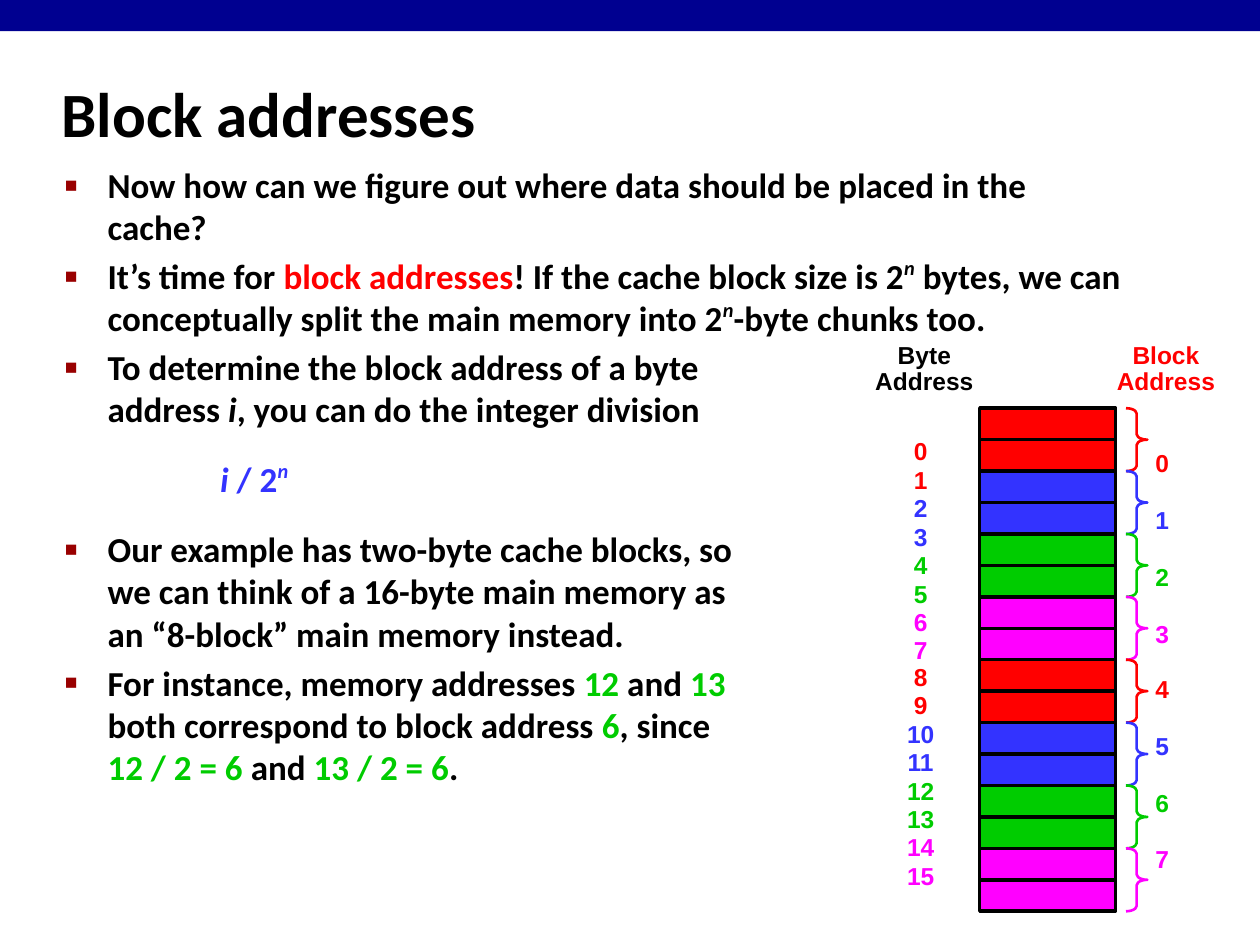
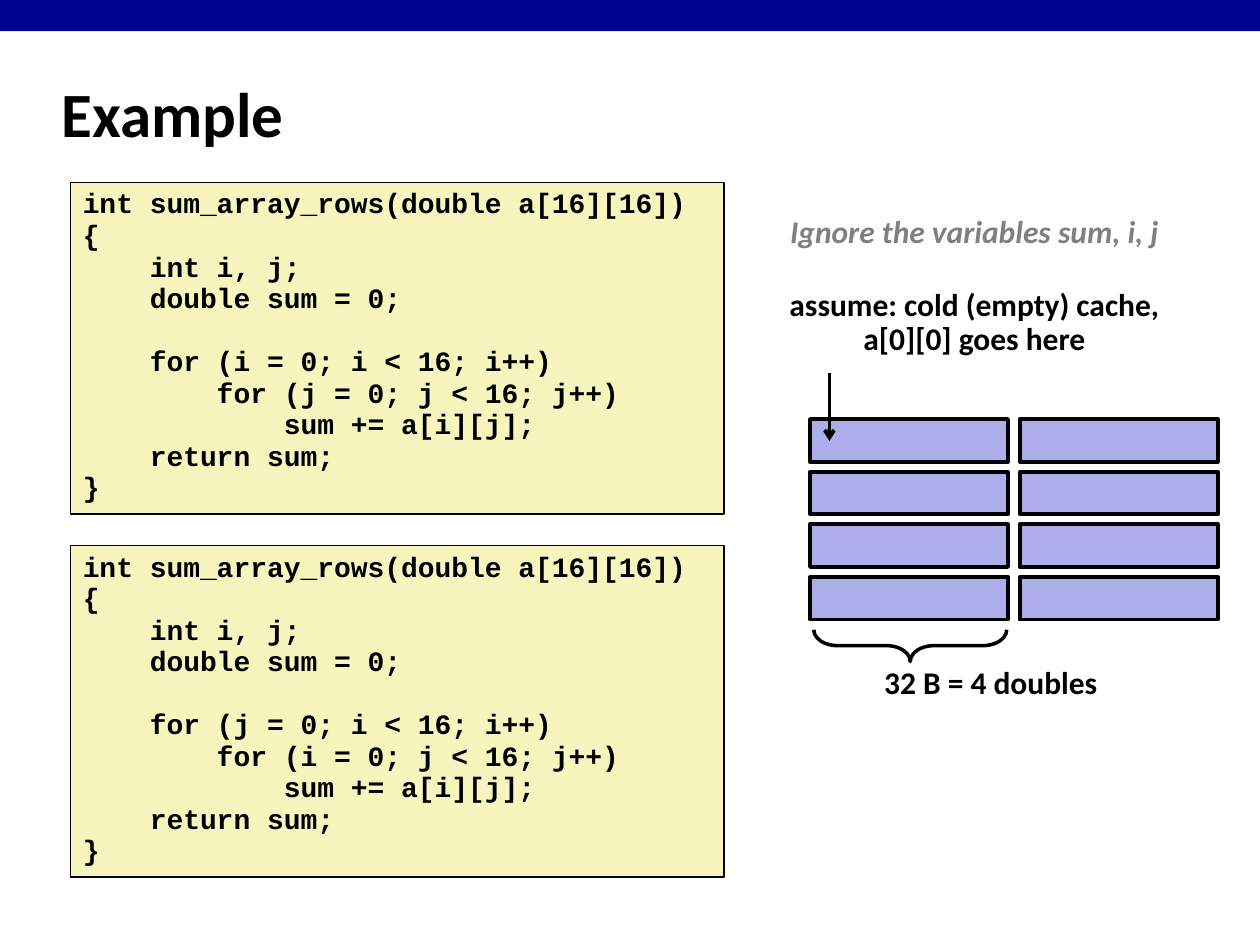
from dataclasses import dataclass

from lxml.etree import SubElement
from pptx import Presentation
from pptx.dml.color import RGBColor
from pptx.enum.shapes import MSO_CONNECTOR, MSO_SHAPE as Preset
from pptx.enum.text import MSO_ANCHOR as Anchor, PP_ALIGN as Align
from pptx.oxml.ns import qn
from pptx.util import Cm, Pt


@dataclass(frozen=True)
class Theme:
    band: str = "000090"
    ink: str = "000000"
    bullet: str = "990000"
    red: str = "FF0000"
    blue: str = "3333FF"
    green: str = "00CC00"
    magenta: str = "FF00FF"
    grey: str = "808080"
    code_fill: str = "F6F5BD"
    cell_fill: str = "ADADEB"
    sans: str = "Calibri"
    label: str = "Arial"
    mono: str = "Courier New"
    title_size: int = 36
    body_size: int = 20
    note_size: int = 18
    code_size: int = 16
    label_size: int = 14


THEME = Theme()

# Content: a span is (text, colour, style); style "i" is italic, "n" a raised italic
BODY = [
    ("bullet", [("Now how can we figure out where data should be placed in the cache?",)]),
    ("bullet", [("It’s time for ",), ("block addresses", THEME.red),
                ("! If the cache block size is 2",), ("n", None, "n"),
                (" bytes, we can conceptually split the main memory into 2",),
                ("n", None, "n"), ("-byte chunks too.",)]),
    ("bullet", [("To determine the block address of a byte\naddress ",), ("i", None, "i"),
                (", you can do the integer division",)]),
    ("formula", [("i", THEME.blue, "i"), (" / 2", THEME.blue), ("n", THEME.blue, "n")]),
    ("bullet", [("Our example has two-byte cache blocks, so\n"
                 "we can think of a 16-byte main memory as\n"
                 "an “8-block” main memory instead.",)]),
    ("bullet", [("For instance, memory addresses ",), ("12", THEME.green), (" and ",),
                ("13", THEME.green), ("\nboth correspond to block address ",),
                ("6", THEME.green), (", since\n",), ("12 / 2 = 6", THEME.green),
                (" and ",), ("13 / 2 = 6", THEME.green), (".",)]),
]

BLOCK_COLOURS = [THEME.red, THEME.blue, THEME.green, THEME.magenta]
BYTES, BLOCK_SIZE = 16, 2
BLOCKS = BYTES // BLOCK_SIZE

CODE = """int sum_array_rows(double a[16][16])
{{
    int i, j;
    double sum = 0;

    for ({outer} = 0; i < 16; i++)
        for ({inner} = 0; j < 16; j++)
            sum += a[i][j];
    return sum;
}}"""
LOOP_ORDERS = [("i", "j"), ("j", "i")]

# (left, top, width, height, lines, colour, italic), lengths in cm
NOTES = [
    (15.63, 4.24, 8.03, 1.02, ["Ignore the variables sum, i, j"], THEME.grey, True),
    (15.63, 5.7, 8.03, 1.8, ["assume: cold (empty) cache,", "a[0][0] goes here"],
     THEME.ink, False),
    (17.55, 13.32, 4.85, 1.02, ["32 B = 4 doubles"], THEME.ink, False),
]


# Shared helpers
def rgb(colour):
    return RGBColor.from_string(colour)


def set_font(font, name, size, colour=THEME.ink, italic=False):
    font.name, font.size, font.bold, font.italic = name, Pt(size), True, italic
    font.color.rgb = rgb(colour)


def add_preset(page, preset, left, top, width, height, fill=None, line=None, weight=1):
    shape = page.shapes.add_shape(preset, Cm(left), Cm(top), Cm(width), Cm(height))
    shape.shadow.inherit = False
    if fill:
        shape.fill.solid()
        shape.fill.fore_color.rgb = rgb(fill)
    else:
        shape.fill.background()
    if line:
        shape.line.color.rgb = rgb(line)
        shape.line.width = Pt(weight)
    else:
        shape.line.fill.background()
    return shape


def add_text_frame(page, left, top, width, height, wrap=True, anchor=Anchor.TOP):
    box = page.shapes.add_textbox(Cm(left), Cm(top), Cm(width), Cm(height))
    box.text_frame.word_wrap = wrap
    box.text_frame.vertical_anchor = anchor
    return box.text_frame


def next_paragraph(frame, index):
    return frame.add_paragraph() if index else frame.paragraphs[0]


def add_centred_lines(frame, lines, name, size, colours, gaps=None, italic=False):
    for index, (line, colour) in enumerate(zip(lines, colours)):
        para = next_paragraph(frame, index)
        para.alignment, para.line_spacing = Align.CENTER, 0.9
        if gaps and index:
            para.space_before = Pt(gaps[index])
        set_font(para.font, name, size, colour, italic)
        para.add_run().text = line


def add_page(deck, title):
    page = deck.slides.add_slide(deck.slide_layouts[6])
    add_preset(page, Preset.RECTANGLE, 0, 0, 25.4, 0.63, THEME.band)
    frame = add_text_frame(page, 0.99, 1.2, 21.08, 2.11, anchor=Anchor.MIDDLE)
    para = frame.paragraphs[0]
    set_font(para.font, THEME.sans, THEME.title_size)
    para.add_run().text = title
    return page


# Block addresses: explanation
def add_bullet(para):
    props = para._p.get_or_add_pPr()
    props.set("marL", str(Cm(0.86)))
    props.set("indent", str(-Cm(0.86)))
    SubElement(SubElement(props, qn("a:buClr")), qn("a:srgbClr"), val=THEME.bullet)
    SubElement(props, qn("a:buSzPct"), val="60000")
    SubElement(props, qn("a:buFont"), typeface=THEME.label)
    SubElement(props, qn("a:buChar"), char="■")


def add_span(para, text, colour=None, style=""):
    for index, piece in enumerate(text.split("\n")):
        if index:
            para.add_line_break()
        if not piece:
            continue
        span = para.add_run()
        span.text = piece
        if colour:
            span.font.color.rgb = rgb(colour)
        if style:
            span.font.italic = True
        if style == "n":
            span._r.get_or_add_rPr().set("baseline", "40000")


def add_body(page):
    frame = add_text_frame(page, 1.06, 3.18, 21.95, 13.82)
    for index, (kind, spans) in enumerate(BODY):
        para = next_paragraph(frame, index)
        if kind == "bullet":
            if index:
                para.space_before = Pt(4)
            add_bullet(para)
        else:
            para.space_before, para.space_after = Pt(16), Pt(12)
            para._p.get_or_add_pPr().set("marL", str(Cm(3.13)))
        set_font(para.font, THEME.sans, THEME.body_size)
        for span in spans:
            add_span(para, *span)


# Block addresses: memory map
def block_colour(block):
    return BLOCK_COLOURS[block % len(BLOCK_COLOURS)]


def add_address_column(page, centre, middle, count, colours, gap, half_gap):
    """Stack the addresses; the second half starts after a smaller gap."""
    width, height = 1.2, 9.6
    frame = add_text_frame(page, centre - width / 2, middle - height / 2, width, height,
                           wrap=False, anchor=Anchor.MIDDLE)
    gaps = [half_gap if index == count // 2 else gap for index in range(count)]
    add_centred_lines(frame, [str(number) for number in range(count)],
                      THEME.label, THEME.label_size, colours, gaps)


def add_memory_map(page):
    left, top, width, byte_height = 19.75, 8.23, 2.74, 10.14 / BYTES
    block_height = byte_height * BLOCK_SIZE
    byte_colours = [block_colour(byte // BLOCK_SIZE) for byte in range(BYTES)]
    block_colours = [block_colour(block) for block in range(BLOCKS)]

    for byte, colour in enumerate(byte_colours):
        add_preset(page, Preset.RECTANGLE, left, top + byte * byte_height,
                   width, byte_height, colour, THEME.ink, 2)
    for block, colour in enumerate(block_colours):
        brace = add_preset(page, Preset.RIGHT_BRACE, 22.7, top + block * block_height,
                           0.43, block_height, None, colour, 1.5)
        brace.adjustments[0] = 0.25

    add_address_column(page, 18.56, 13.41, BYTES, byte_colours, 1.1, 0)
    add_address_column(page, 23.43, 13.36, BLOCKS, block_colours, 17.4, 16.4)
    for heading, heading_left, colour in [("Byte", 17.35, THEME.ink),
                                          ("Block", 22.22, THEME.red)]:
        frame = add_text_frame(page, heading_left, 6.77, 2.57, 1.37,
                               wrap=False, anchor=Anchor.MIDDLE)
        add_centred_lines(frame, [heading, "Address"], THEME.label,
                          THEME.label_size, [colour] * 2)


# Example: code listings
def add_code(page, top, code):
    box = add_preset(page, Preset.RECTANGLE, 1.42, top, 13.18, 6.68,
                     THEME.code_fill, THEME.ink, 1)
    frame = box.text_frame
    frame.word_wrap, frame.vertical_anchor = True, Anchor.TOP
    index = 0
    for group_number, group in enumerate(code.split("\n\n")):
        for line_number, line in enumerate(group.split("\n")):
            para = next_paragraph(frame, index)
            para.alignment, para.line_spacing = Align.LEFT, 0.94
            if group_number and line_number == 0:
                para.space_before = Pt(18)
            set_font(para.font, THEME.mono, THEME.code_size)
            para.add_run().text = line
            index += 1


# Example: cache drawing
def add_cache(page):
    for column in range(2):
        for row in range(4):
            add_preset(page, Preset.RECTANGLE, 16.33 + column * 4.23, 8.45 + row * 1.06,
                       3.99, 0.86, THEME.cell_fill, THEME.ink, 2.25)

    brace = add_preset(page, Preset.LEFT_BRACE, 18.03, 11.07, 0.64, 3.89,
                       None, THEME.ink, 2)
    brace.adjustments[0] = 0.75
    brace.rotation = 270

    arrow = page.shapes.add_connector(MSO_CONNECTOR.STRAIGHT, Cm(16.72), Cm(7.52),
                                      Cm(16.72), Cm(8.89))
    arrow.line.color.rgb = rgb(THEME.ink)
    arrow.line.width = Pt(2)
    SubElement(arrow.line._get_or_add_ln(), qn("a:tailEnd"), type="arrow")
    SubElement(arrow._element.spPr, qn("a:effectLst"))

    for left, top, width, height, lines, colour, italic in NOTES:
        frame = add_text_frame(page, left, top, width, height, wrap=False)
        add_centred_lines(frame, lines, THEME.sans, THEME.note_size,
                          [colour] * len(lines), italic=italic)


def main():
    deck = Presentation()
    deck.slide_width, deck.slide_height = Cm(25.4), Cm(19.05)

    page = add_page(deck, "Block addresses")
    add_body(page)
    add_memory_map(page)

    page = add_page(deck, "Example")
    for index, (outer, inner) in enumerate(LOOP_ORDERS):
        add_code(page, 3.68 + index * 7.32, CODE.format(outer=outer, inner=inner))
    add_cache(page)

    deck.save("out.pptx")


if __name__ == "__main__":
    main()
